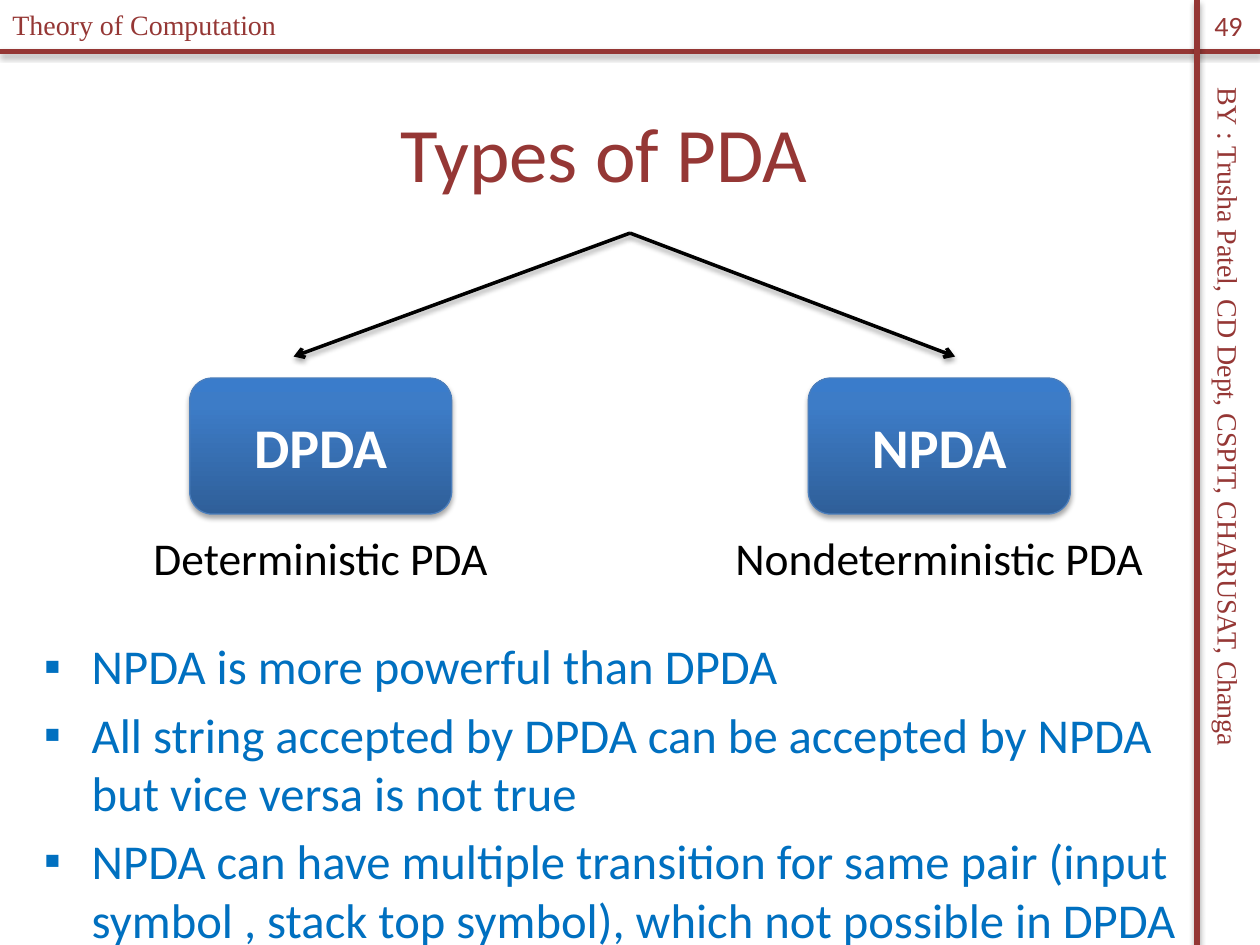
from copy import deepcopy

from lxml.etree import SubElement
from pptx import Presentation
from pptx.dml.color import RGBColor
from pptx.enum.shapes import MSO_CONNECTOR, MSO_SHAPE
from pptx.enum.text import MSO_ANCHOR, PP_ALIGN
from pptx.oxml.ns import qn
from pptx.util import Inches, Pt

MAROON = RGBColor(0x95, 0x37, 0x35)
BLUE = RGBColor(0x00, 0x70, 0xC0)
BOX_LINE = RGBColor(0x4B, 0x7E, 0xBC)
BOX_STOPS = (
    (0, RGBColor(0x2F, 0x5F, 0x99)),
    (0.8, RGBColor(0x3D, 0x7C, 0xC7)),
    (1, RGBColor(0x3A, 0x7C, 0xCB)),
)
BLACK = RGBColor(0, 0, 0)
WHITE = RGBColor(0xFF, 0xFF, 0xFF)
BODY_FONT, FRAME_FONT = "Calibri", "Times New Roman"

SLIDE_WIDTH, SLIDE_HEIGHT = 10, 7.5
RULE_X, RULE_Y = 9.5, 0.41
TYPES = (("DPDA", "Deterministic PDA", 0.67, 2.33),
         ("NPDA", "Nondeterministic PDA", 5.58, 7.58))
POINTS = (
    "NPDA is more powerful than DPDA",
    "All string accepted by DPDA can be accepted by NPDA but vice versa is not true",
    "NPDA can have multiple transition for same pair (input symbol , stack top symbol), "
    "which not possible in DPDA",
)


def inches(*lengths):
    return [Inches(length) for length in lengths]


def add_shadow(shape, opacity=35):
    """Give the shape a soft shadow that falls straight down."""
    properties = shape._element.spPr
    effects = properties.find(qn("a:effectLst"))
    if effects is None:
        effects = SubElement(properties, qn("a:effectLst"))
    shadow = SubElement(effects, qn("a:outerShdw"), blurRad=str(Pt(3.1)),
                        dist=str(Pt(1.8)), dir="5400000", rotWithShape="0")
    color = SubElement(shadow, qn("a:srgbClr"), val=str(BLACK))
    SubElement(color, qn("a:alpha"), val=str(opacity * 1000))


def add_line(slide, start, end, color, width, arrow=False):
    line = slide.shapes.add_connector(MSO_CONNECTOR.STRAIGHT, *inches(*start, *end))
    line.line.color.rgb = color
    line.line.width = Pt(width)
    if arrow:
        SubElement(line.line._get_or_add_ln(), qn("a:tailEnd"), type="arrow")
    add_shadow(line)


def set_text(shape, lines, size, color, font=BODY_FONT, bold=False,
             align=PP_ALIGN.CENTER, anchor=MSO_ANCHOR.MIDDLE):
    frame = shape.text_frame
    frame.text = "\n".join(lines)
    frame.word_wrap = True
    frame.vertical_anchor = anchor
    for paragraph in frame.paragraphs:
        paragraph.alignment = align
        for run in paragraph.runs:
            run.font.name, run.font.size = font, Pt(size)
            run.font.bold, run.font.color.rgb = bold, color


def add_label(slide, box, text, font=FRAME_FONT, **placing):
    label = slide.shapes.add_textbox(*inches(*box))
    set_text(label, [text], 16, MAROON, font, **placing)
    return label


def add_frame(slide):
    """Draw the two rules with the course, author and page number."""
    add_line(slide, (0, RULE_Y), (SLIDE_WIDTH, RULE_Y), MAROON, 3)
    add_line(slide, (RULE_X, 0), (RULE_X, SLIDE_HEIGHT), MAROON, 3)
    start = {"align": PP_ALIGN.LEFT, "anchor": MSO_ANCHOR.TOP}
    author = add_label(slide, (6.54, 3.62, 6.42, 0.37),
                       "BY : Trusha Patel, CD Dept, CSPIT, CHARUSAT, Changa", **start)
    author.rotation = 90
    add_label(slide, (0, 0.01, 3.29, 0.37), "Theory of Computation", **start)
    number = add_label(slide, (RULE_X, 0, SLIDE_WIDTH - RULE_X, 0.4), "49", BODY_FONT)
    number.text_frame.margin_left = number.text_frame.margin_right = 0


def place_title(slide, box):
    title = slide.shapes.title
    title.left, title.top, title.width, title.height = inches(*box)
    set_text(title, ["Types of PDA"], 44, MAROON)


def fill_gradient(shape):
    shape.fill.gradient()
    shape.fill.gradient_angle = 90
    stop_list = shape._element.spPr.find(".//" + qn("a:gsLst"))
    stop_list.append(deepcopy(stop_list[-1]))
    for stop, (position, color) in zip(shape.fill.gradient_stops, BOX_STOPS):
        stop.position = position
        stop.color.rgb = color


def add_type(slide, box, name, caption):
    """Place a named box above its caption, both centred in the given box."""
    left, top, width, height = box
    name_width, name_height, caption_height = 2.08, 1.08, 0.5
    label = slide.shapes.add_shape(MSO_SHAPE.RECTANGLE, *inches(
        left, top + height - caption_height, width, caption_height))
    label.shadow.inherit = False
    label.fill.solid()
    label.fill.fore_color.rgb = WHITE
    label.line.fill.background()
    set_text(label, [caption], 26, BLACK)

    block = slide.shapes.add_shape(MSO_SHAPE.ROUNDED_RECTANGLE, *inches(
        left + (width - name_width) / 2, top, name_width, name_height))
    block.shadow.inherit = False
    fill_gradient(block)
    block.line.color.rgb = BOX_LINE
    block.line.width = Pt(0.75)
    add_shadow(block)
    set_text(block, [name], 32, WHITE, bold=True)


def add_points(slide, box):
    body = slide.shapes.add_textbox(*inches(*box))
    set_text(body, POINTS, 27.8, BLUE, align=PP_ALIGN.LEFT, anchor=MSO_ANCHOR.TOP)
    for paragraph in body.text_frame.paragraphs:
        paragraph.space_before = Pt(5.6)
        properties = paragraph._p.get_or_add_pPr()
        properties.set("marL", str(Inches(0.38)))
        properties.set("indent", str(-Inches(0.38)))
        SubElement(properties, qn("a:buFont"), typeface="Wingdings")
        SubElement(properties, qn("a:buChar"), char="▪")
        properties.find(qn("a:buFont")).set("typeface", "Arial")


def main():
    presentation = Presentation()
    presentation.slide_width, presentation.slide_height = inches(SLIDE_WIDTH, SLIDE_HEIGHT)
    slide = presentation.slides.add_slide(presentation.slide_layouts[5])
    add_frame(slide)
    place_title(slide, (0.17, 0.58, 9.25, 1.25))
    add_points(slide, (0.25, 5, 9.5, 2.33))
    for name, caption, left, arrow_x in TYPES:
        add_type(slide, (left, 3, 3.75, 1.67), name, caption)
        add_line(slide, (SLIDE_WIDTH / 2, 1.85), (arrow_x, 2.83), BLACK, 2, arrow=True)
    presentation.save("out.pptx")


if __name__ == "__main__":
    main()
